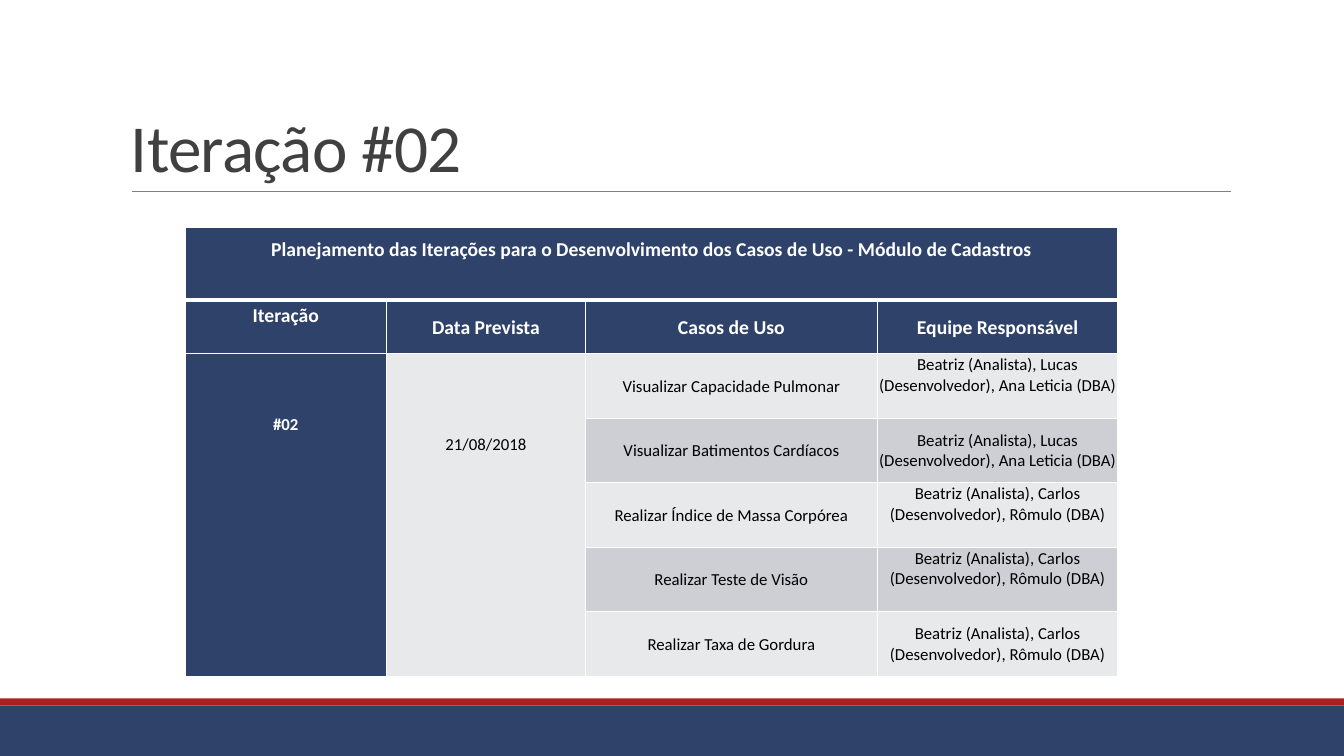
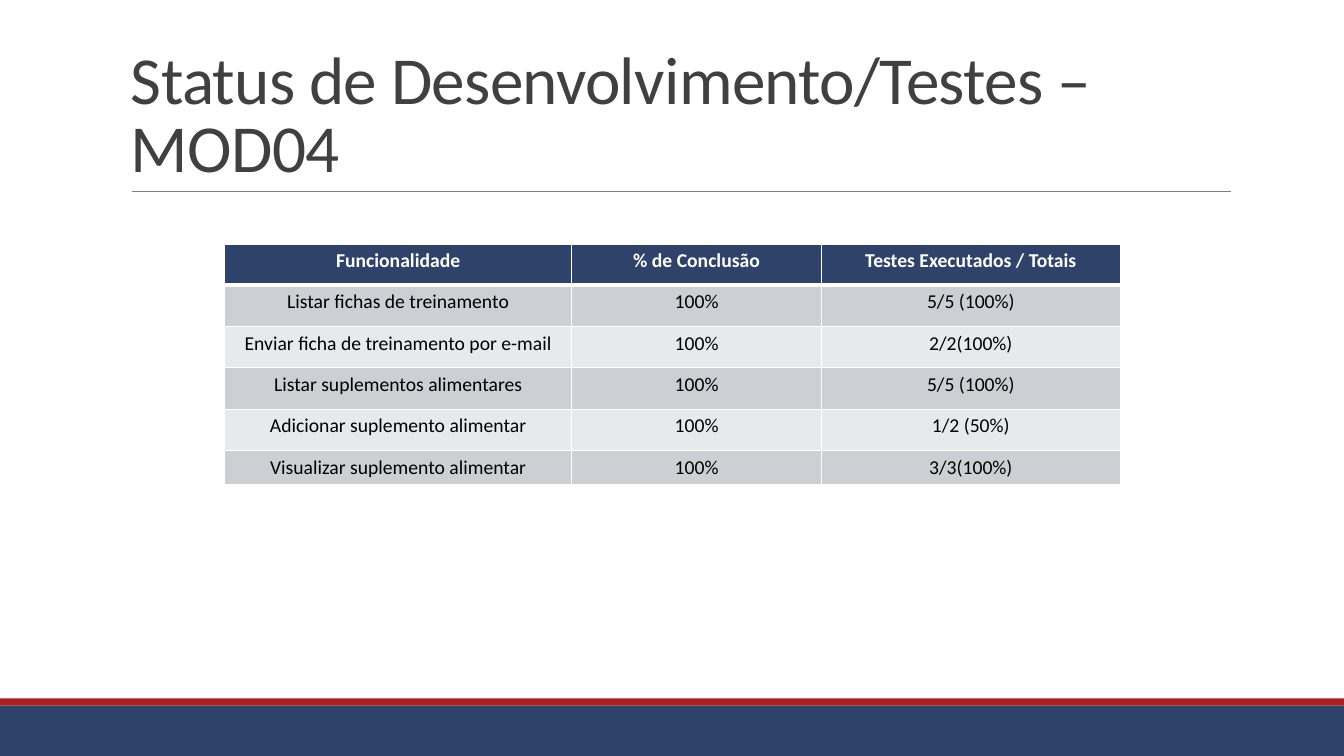
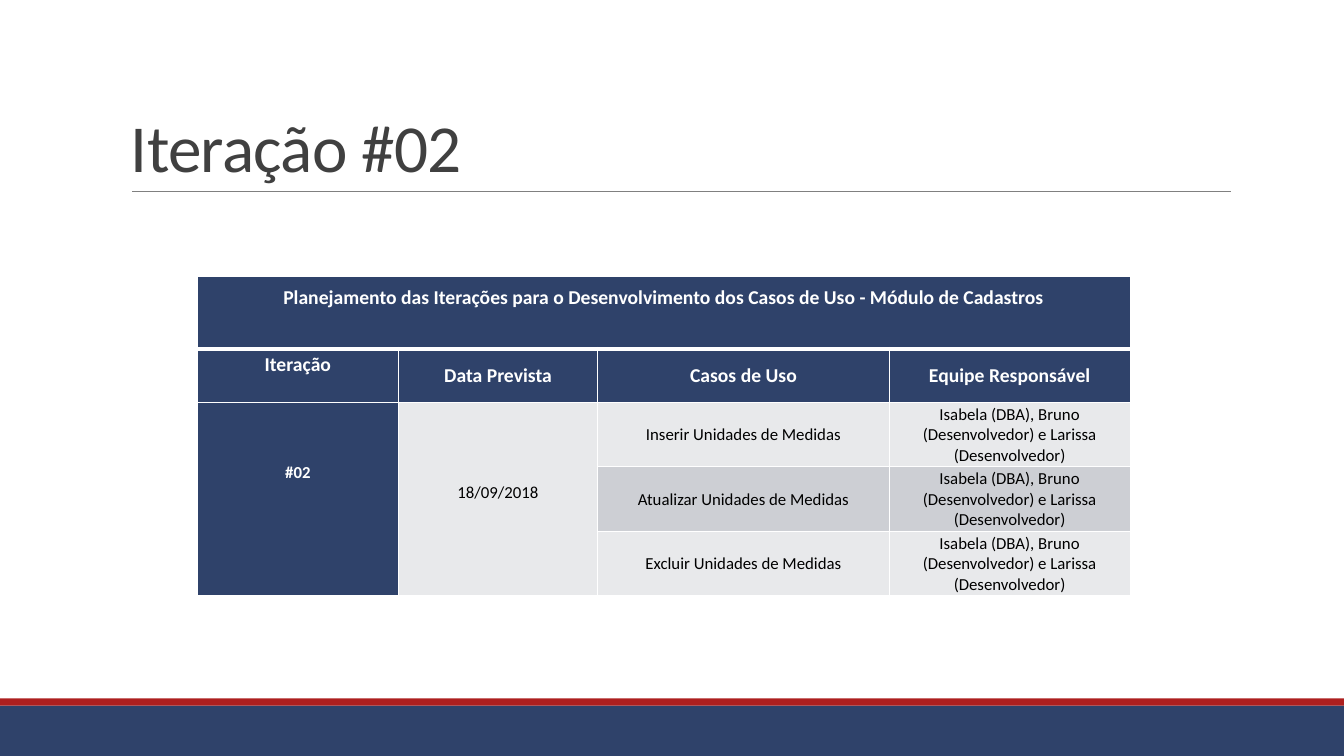
from lxml import etree
from pptx import Presentation
from pptx.dml.color import RGBColor
from pptx.enum.shapes import MSO_CONNECTOR, MSO_SHAPE
from pptx.enum.text import MSO_ANCHOR, PP_ALIGN
from pptx.oxml.ns import qn
from pptx.util import Inches, Pt

TOP, MIDDLE, BOTTOM = MSO_ANCHOR.TOP, MSO_ANCHOR.MIDDLE, MSO_ANCHOR.BOTTOM
CENTER = PP_ALIGN.CENTER
RECTANGLE = MSO_SHAPE.RECTANGLE
STRAIGHT = MSO_CONNECTOR.STRAIGHT

WIDTH, HEIGHT = 13.33, 7.5
FONT = "Calibri"
COLORS = {
    "navy": "2F426A", "red": "AD1F1F", "rule": "808080", "title": "404040",
    "white": "FFFFFF", "black": "000000", "light": "E8E9EB", "dark": "CDCFD4",
}
HEADER = {"size": 14, "bold": True, "color": "white"}
BODY = {"size": 14, "bold": False, "color": "black"}
SMALL = {"size": 12, "bold": False, "color": "black"}
SMALL_HEADER = {"size": 12, "bold": True, "color": "white"}

# Margins are left, top, right, bottom
TIGHT = (0.01, 0.01, 0.01, 0)
NORMAL = (0.1, 0.05, 0.1, 0.05)

PLAN_TITLE = ("Planejamento das Iterações para o Desenvolvimento dos Casos de Uso"
              " - Módulo de Cadastros")
PLAN_HEADERS = ["Iteração", "Data Prevista", "Casos de Uso", "Equipe Responsável"]
PLAN_COLUMNS = [1.99, 1.98, 2.89, 2.39]
PLAN_HEADER_ROWS = [0.72, 0.53]
PLAN_ROW = 0.64

ANALYST_LUCAS = "Beatriz (Analista), Lucas (Desenvolvedor), Ana Leticia (DBA)"
ANALYST_CARLOS = "Beatriz (Analista), Carlos (Desenvolvedor), Rômulo (DBA)"
MEASURES_TEAM = "Isabela (DBA), Bruno (Desenvolvedor) e Larissa (Desenvolvedor)"

# Each task: use case, team, vertical anchor of the team
HEALTH_PLAN = {
    "at": (1.84, 2.26), "iteration": "#02", "date": "21/08/2018",
    "tasks": [
        ("Visualizar Capacidade Pulmonar", ANALYST_LUCAS, TOP),
        ("Visualizar Batimentos Cardíacos", ANALYST_LUCAS, MIDDLE),
        ("Realizar Índice de Massa Corpórea", ANALYST_CARLOS, TOP),
        ("Realizar Teste de Visão", ANALYST_CARLOS, TOP),
        ("Realizar Taxa de Gordura", ANALYST_CARLOS, MIDDLE),
    ],
}
MEASURES_PLAN = {
    "at": (1.96, 2.74), "iteration": "#02", "date": "18/09/2018",
    "tasks": [
        ("Inserir Unidades de Medidas", MEASURES_TEAM, MIDDLE),
        ("Atualizar Unidades de Medidas", MEASURES_TEAM, MIDDLE),
        ("Excluir Unidades de Medidas", MEASURES_TEAM, MIDDLE),
    ],
}
STATUS = {
    "at": (2.23, 2.42), "columns": [3.44, 2.48, 2.96],
    "rows": [0.41] * 5 + [0.34],
    "cells": [
        ("Funcionalidade", "% de Conclusão", "Testes Executados / Totais"),
        ("Listar fichas de treinamento", "100%", "5/5 (100%)"),
        ("Enviar ficha de treinamento por e-mail", "100%", "2/2(100%)"),
        ("Listar suplementos alimentares", "100%", "5/5 (100%)"),
        ("Adicionar suplemento alimentar", "100%", "1/2 (50%)"),
        ("Visualizar suplemento alimentar", "100%", "3/3(100%)"),
    ],
}


def rgb(name):
    return RGBColor.from_string(COLORS[name])


def write(paragraph, text, size, color, bold=False):
    run = paragraph.add_run()
    run.text = text
    values = {"name": FONT, "size": Pt(size), "bold": bold}
    for attribute, value in values.items():
        setattr(run.font, attribute, value)
    run.font.color.rgb = rgb(color)
    return run


def add_band(slide, top, height, color):
    band = slide.shapes.add_shape(
        RECTANGLE, 0, Inches(top), Inches(WIDTH), Inches(height))
    band.shadow.inherit = False
    band.fill.solid()
    band.fill.fore_color.rgb = rgb(color)
    band.line.fill.background()


def add_titled_slide(presentation, title):
    """Add a slide with the shared bands, rule and title."""
    slide = presentation.slides.add_slide(presentation.slide_layouts[6])
    add_band(slide, 7, 0.5, "navy")
    add_band(slide, 6.93, 0.07, "red")

    rule = slide.shapes.add_connector(
        STRAIGHT, Inches(1.31), Inches(1.9), Inches(12.21), Inches(1.9))
    rule.line.color.rgb = rgb("rule")
    rule.line.width = Pt(0.5)
    etree.SubElement(rule._element.spPr, qn("a:effectLst"))

    box = slide.shapes.add_textbox(Inches(1.2), Inches(0.31), Inches(11), Inches(1.59))
    frame = box.text_frame
    frame.word_wrap = True
    frame.vertical_anchor = BOTTOM
    paragraph = frame.paragraphs[0]
    paragraph.line_spacing = 0.85
    run = write(paragraph, title, 48, "title")
    run.font._element.set("spc", "-50")
    return slide


def set_borders(cell, top, bottom):
    properties = cell._tc.get_or_add_tcPr()
    sides = {"lnL": 1, "lnR": 1, "lnT": top, "lnB": bottom}
    for side, points in sides.items():
        line = etree.SubElement(properties, qn(f"a:{side}"), w=str(Pt(points)))
        fill = etree.SubElement(line, qn("a:solidFill"))
        etree.SubElement(fill, qn("a:srgbClr"), val=COLORS["white"])


def add_table(slide, at, columns, rows):
    """Add an empty table with white borders, thick below its first row."""
    table = slide.shapes.add_table(
        len(rows), len(columns), *map(Inches, (*at, sum(columns), sum(rows)))).table
    for column, width in zip(table.columns, columns):
        column.width = Inches(width)
    for index, (row, height) in enumerate(zip(table.rows, rows)):
        row.height = Inches(height)
        for cell in row.cells:
            set_borders(cell, top=3 if index == 1 else 1, bottom=3 if index == 0 else 1)
    return table


def fill_cell(cell, text, style, fill, margins=TIGHT, anchor=MIDDLE):
    cell.fill.solid()
    cell.fill.fore_color.rgb = rgb(fill)
    cell.vertical_anchor = anchor
    for side, margin in zip(("left", "top", "right", "bottom"), margins):
        setattr(cell, f"margin_{side}", Inches(margin))
    paragraph = cell.text_frame.paragraphs[0]
    paragraph.alignment = CENTER
    write(paragraph, text, **style)


def add_plan(slide, plan):
    tasks = plan["tasks"]
    table = add_table(slide, plan["at"], PLAN_COLUMNS,
                      PLAN_HEADER_ROWS + [PLAN_ROW] * len(tasks))
    last_row = len(tasks) + 1
    table.cell(0, 0).merge(table.cell(0, 3))
    for column in (0, 1):
        table.cell(2, column).merge(table.cell(last_row, column))

    fill_cell(table.cell(0, 0), PLAN_TITLE, HEADER, "navy", (0.07, 0.1, 0.07, 0), TOP)
    for column, header in enumerate(PLAN_HEADERS):
        anchor, margins = (MIDDLE, TIGHT) if column else (TOP, (0.01, 0.04, 0.01, 0))
        fill_cell(table.cell(1, column), header, HEADER, "navy", margins, anchor)
    fill_cell(table.cell(2, 0), plan["iteration"], SMALL_HEADER, "navy",
              (0.07, 0.6, 0.07, 0), TOP)
    fill_cell(table.cell(2, 1), plan["date"], SMALL, "light", (0.07, 0.8, 0.07, 0), TOP)
    for index, (use_case, team, anchor) in enumerate(tasks):
        fill = ("light", "dark")[index % 2]
        fill_cell(table.cell(index + 2, 2), use_case, SMALL, fill)
        fill_cell(table.cell(index + 2, 3), team, SMALL, fill, anchor=anchor)


def add_status(slide, status):
    table = add_table(slide, status["at"], status["columns"], status["rows"])
    for row, texts in enumerate(status["cells"]):
        style = BODY if row else HEADER
        fill = ("light", "dark")[row % 2] if row else "navy"
        for column, text in enumerate(texts):
            fill_cell(table.cell(row, column), text, style, fill, NORMAL, TOP)


SLIDES = [
    ("Iteração #02", add_plan, HEALTH_PLAN),
    ("Status de Desenvolvimento/Testes – MOD04", add_status, STATUS),
    ("Iteração #02", add_plan, MEASURES_PLAN),
]


def main():
    presentation = Presentation()
    presentation.slide_width = Inches(WIDTH)
    presentation.slide_height = Inches(HEIGHT)
    for title, add_content, content in SLIDES:
        add_content(add_titled_slide(presentation, title), content)
    presentation.save("out.pptx")


if __name__ == "__main__":
    main()
